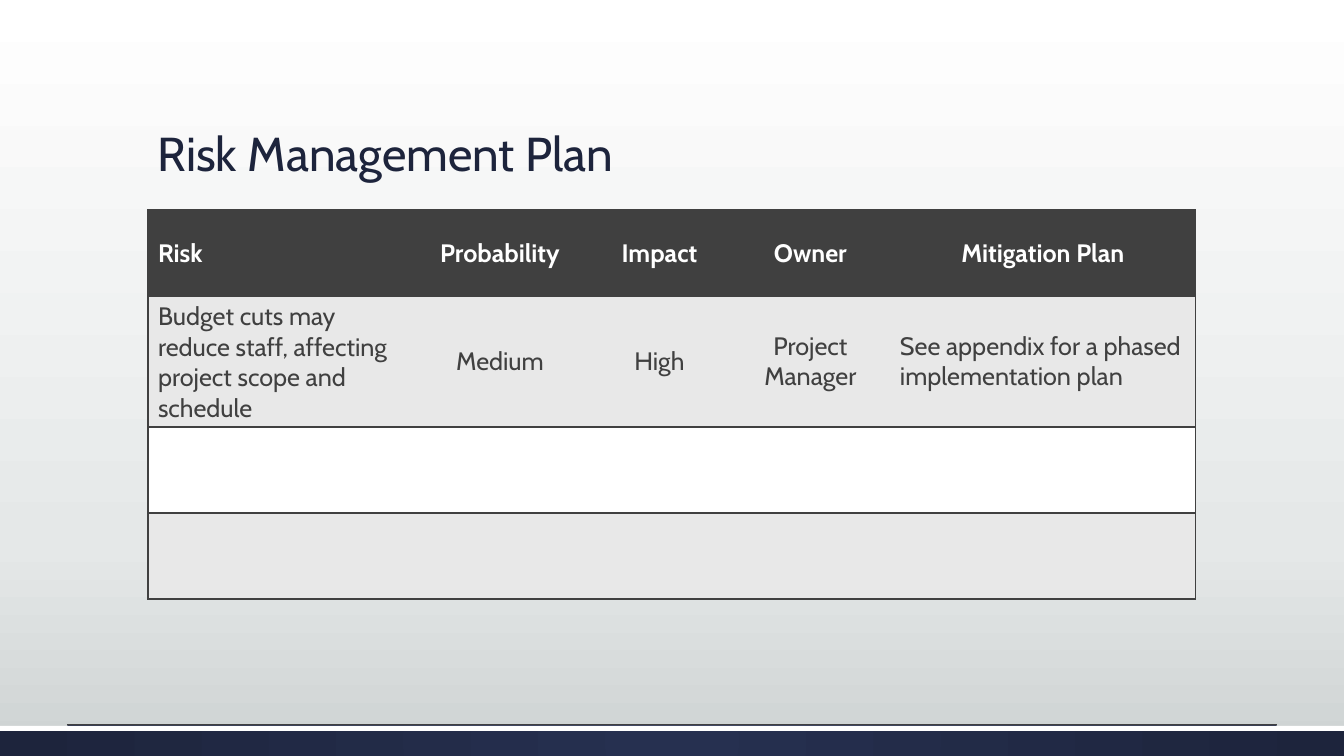
from lxml import etree
from pptx import Presentation
from pptx import util as u
from pptx.dml.color import RGBColor
from pptx.enum import shapes, text
from pptx.oxml import ns, parse_xml

# Content
TITLE = "Risk Management Plan"
ROWS = [
    ("Risk", "Probability", "Impact", "Owner", "Mitigation Plan"),
    ("Budget cuts may reduce staff, affecting project scope and schedule",
     "Medium", "High", "Project Manager",
     "See appendix for a phased implementation plan"),
    ("",) * 5,
    ("",) * 5,
]
LEFT_ALIGNED = {(0, 0), (1, 0), (1, 4)}

# Layout in px
SCALE = 12192000 / 1344
WIDTH, HEIGHT = 1344, 756
TITLE_BOX = (148, 51, 1048, 136)
TABLE_LEFT, TABLE_TOP = 148, 210
COLUMN_WIDTHS = [264, 176, 143, 159, 306]
ROW_HEIGHTS = [86, 130, 86, 86]
FOOTER_TOP, STRIPE_HEIGHT = 726, 5
RULE_MARGIN = 67

# Style
FONT = "Cabin"
NAVY = RGBColor(0x1D, 0x24, 0x3C)
BLUE = RGBColor(0x26, 0x30, 0x50)
CHARCOAL = RGBColor(0x40, 0x40, 0x40)
LIGHT = RGBColor(0xE8, 0xE8, 0xE8)
WHITE = RGBColor(0xFF, 0xFF, 0xFF)
MIST = RGBColor(0xE5, 0xE8, 0xE8)
SILVER = RGBColor(0xCD, 0xD2, 0xD2)
ROW_FILLS = [CHARCOAL, LIGHT, WHITE, LIGHT]
LINEAR = '<a:lin ang="5400000" scaled="0"/>'
CIRCLE = ('<a:path path="circle"><a:fillToRect l="50000" t="50000" '
          'r="50000" b="50000"/></a:path>')


def px(length):
    return u.Emu(round(length * SCALE))


def write(frame, content, size=18, color=CHARCOAL, bold=False,
          align=text.PP_ALIGN.LEFT, spacing=None):
    paragraph = frame.paragraphs[0]
    paragraph.alignment = align
    paragraph.line_spacing = spacing
    font = paragraph.font
    if content:
        run = paragraph.add_run()
        run.text = content
        font = run.font
    font.name, font.size, font.bold = FONT, u.Pt(size), bold
    font.color.rgb = color


def set_gradient(fill, parent, stops, direction):
    fill.gradient()
    old = next(parent.iter(ns.qn("a:gradFill")))
    marks = "".join(f'<a:gs pos="{position * 1000}"><a:srgbClr val="{color}"/></a:gs>'
                    for position, color in stops)
    old.getparent().replace(old, parse_xml(
        f'<a:gradFill {ns.nsdecls("a")} rotWithShape="1">'
        f'<a:gsLst>{marks}</a:gsLst>{direction}</a:gradFill>'))


def add_band(top, height):
    band = slide.shapes.add_shape(shapes.MSO_SHAPE.RECTANGLE, 0, px(top),
                                  px(WIDTH), px(height))
    band.shadow.inherit = False
    band.line.fill.background()
    return band


def set_borders(cell, sides):
    properties = cell._tc.get_or_add_tcPr()
    for side in "LRTB":
        paint = (f'<a:solidFill><a:srgbClr val="{CHARCOAL}"/></a:solidFill>'
                 if side in sides else '<a:noFill/>')
        properties.append(parse_xml(
            f'<a:ln{side} {ns.nsdecls("a")} w="12700">{paint}</a:ln{side}>'))


presentation = Presentation()
presentation.slide_width, presentation.slide_height = px(WIDTH), px(HEIGHT)
slide = presentation.slides.add_slide(presentation.slide_layouts[6])

# Background
set_gradient(slide.background.fill, slide._element,
             [(0, WHITE), (72, MIST), (100, SILVER)], LINEAR)

# Footer bands and rule
footer = add_band(FOOTER_TOP, HEIGHT - FOOTER_TOP)
set_gradient(footer.fill, footer._element, [(0, BLUE), (100, NAVY)], CIRCLE)
stripe = add_band(FOOTER_TOP, STRIPE_HEIGHT)
stripe.fill.solid()
stripe.fill.fore_color.rgb = WHITE
rule = slide.shapes.add_connector(
    shapes.MSO_CONNECTOR.STRAIGHT, px(RULE_MARGIN), px(FOOTER_TOP - 1),
    px(WIDTH - RULE_MARGIN), px(FOOTER_TOP - 1))
rule.line.color.rgb = CHARCOAL
rule.line.width = u.Pt(0.75)
etree.SubElement(rule._element.spPr, ns.qn("a:effectLst"))

# Title
title = slide.shapes.add_textbox(*map(px, TITLE_BOX)).text_frame
title.word_wrap = True
title.vertical_anchor = text.MSO_ANCHOR.BOTTOM
write(title, TITLE, size=34, color=NAVY, spacing=0.9)

# Risk table
table = slide.shapes.add_table(
    len(ROWS), len(COLUMN_WIDTHS), px(TABLE_LEFT), px(TABLE_TOP),
    px(sum(COLUMN_WIDTHS)), px(sum(ROW_HEIGHTS))).table
table.horz_banding = False
for column, width in zip(table.columns, COLUMN_WIDTHS):
    column.width = px(width)
for row, height in zip(table.rows, ROW_HEIGHTS):
    row.height = px(height)

for r, entries in enumerate(ROWS):
    for c, entry in enumerate(entries):
        cell = table.cell(r, c)
        edge = {0: "L", len(entries) - 1: "R"}.get(c, "")
        set_borders(cell, "TB" + edge)
        cell.fill.solid()
        cell.fill.fore_color.rgb = ROW_FILLS[r]
        cell.vertical_anchor = text.MSO_ANCHOR.MIDDLE
        align = (text.PP_ALIGN.LEFT if (r, c) in LEFT_ALIGNED
                 else text.PP_ALIGN.CENTER)
        write(cell.text_frame, entry, color=CHARCOAL if r else WHITE,
              bold=r == 0, align=align)

presentation.save("out.pptx")
